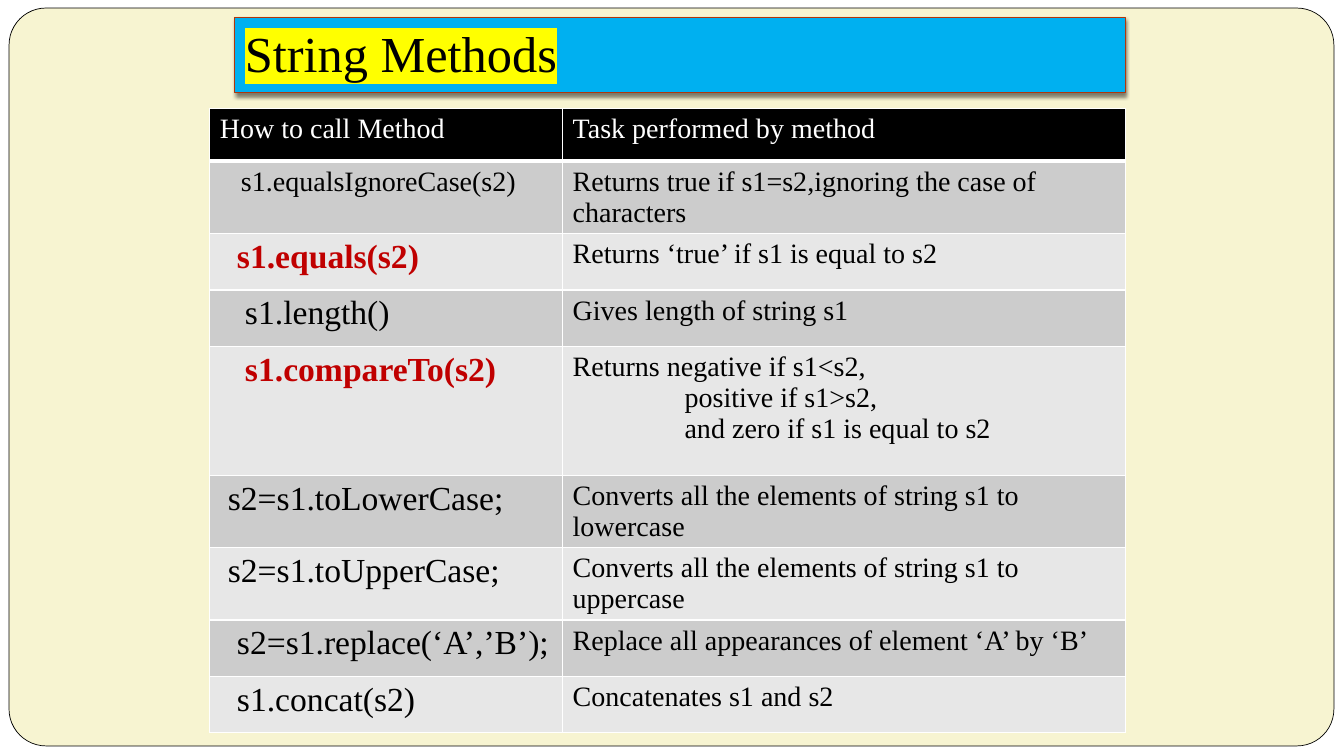
import pptx
import pptx.dml.color
import pptx.enum.shapes
import pptx.enum.text
import pptx.oxml
import pptx.oxml.ns
import pptx.util

Inches, Pt = pptx.util.Inches, pptx.util.Pt
RGBColor = pptx.dml.color.RGBColor
SHAPE = pptx.enum.shapes.MSO_SHAPE
NS = pptx.oxml.ns.nsdecls("a")

BLACK = RGBColor(0x00, 0x00, 0x00)
WHITE = RGBColor(0xFF, 0xFF, 0xFF)
CREAM = RGBColor(0xF7, 0xF4, 0xD1)
SKY = RGBColor(0x00, 0xB0, 0xF0)
RUST = RGBColor(0xB1, 0x36, 0x0B)
RED = RGBColor(0xC0, 0x00, 0x00)
YELLOW = RGBColor(0xFF, 0xFF, 0x00)
BANDS = [RGBColor(0xE7, 0xE7, 0xE7), RGBColor(0xCC, 0xCC, 0xCC)]


def add_box(kind, box, fill, line, width):
    sp = s.shapes.add_shape(kind, *[Inches(v) for v in box])
    sp.shadow.inherit = False
    sp.fill.solid()
    sp.fill.fore_color.rgb = fill
    sp.line.color.rgb = line
    sp.line.width = Pt(width)
    return sp


def write(p, text, size, color, bold=False, indent=0):
    if indent:
        p._p.get_or_add_pPr().set("marL", str(Inches(indent)))
    r = p.add_run()
    r.text = text
    font = {"size": Pt(size), "bold": bold, "name": "Times New Roman"}
    for name, value in font.items():
        setattr(r.font, name, value)
    r.font.color.rgb = color
    return r


prs = pptx.Presentation()
prs.slide_width, prs.slide_height = Inches(13.33), Inches(7.5)
s = prs.slides.add_slide(prs.slide_layouts[6])

# White page with a rounded cream panel
s.background.fill.solid()
s.background.fill.fore_color.rgb = WHITE
panel = add_box(SHAPE.ROUNDED_RECTANGLE, (0.09, 0.08, 13.14, 7.32), CREAM, BLACK, 0.5)
panel.adjustments[0] = 0.05

# Title bar with a soft shadow below it
title = add_box(SHAPE.RECTANGLE, (2.33, 0.17, 8.83, 0.75), SKY, RUST, 0.75)
title._element.spPr.find(pptx.oxml.ns.qn("a:effectLst")).append(pptx.oxml.parse_xml(
    f'<a:outerShdw {NS} blurRad="{Pt(3)}" dist="{Pt(2)}" dir="5400000" rotWithShape="0">'
    f'<a:srgbClr val="{BLACK}"><a:alpha val="50000"/></a:srgbClr></a:outerShdw>'))
tf = title.text_frame
frame = {
    "word_wrap": True,
    "vertical_anchor": pptx.enum.text.MSO_ANCHOR.BOTTOM,
    "margin_left": Inches(0.1), "margin_right": Inches(0.1),
    "margin_top": Inches(0.05), "margin_bottom": Inches(0.1),
}
for name, value in frame.items():
    setattr(tf, name, value)
p = tf.paragraphs[0]
p.alignment = pptx.enum.text.PP_ALIGN.LEFT
r = write(p, "String Methods", 36, BLACK)
r.font.fill._xPr.find(pptx.oxml.ns.qn("a:solidFill")).addnext(pptx.oxml.parse_xml(
    f'<a:highlight {NS}><a:srgbClr val="{YELLOW}"/></a:highlight>'))

# Table rows: height, call, call size, call indent, key method, task lines
rows = [
    (0.52, "How to call Method", 20, 0, False, ["Task performed by method"]),
    (0.52, "s1.equalsIgnoreCase(s2)", 20, 0.21, False,
     ["Returns true if s1=s2,ignoring the case of characters"]),
    (0.56, "s1.equals(s2)", 24, 0.17, True, ["Returns ‘true’ if s1 is equal to s2"]),
    (0.56, "s1.length()", 24, 0.25, False, ["Gives length of string s1"]),
    (1.28, "s1.compareTo(s2)", 24, 0.25, True,
     ["Returns negative if s1<s2,", "positive if s1>s2,", "and zero if s1 is equal to s2"]),
    (0.56, "s2=s1.toLowerCase;", 24, 0.08, False,
     ["Converts all the elements of string s1 to lowercase"]),
    (0.56, "s2=s1.toUpperCase;", 24, 0.08, False,
     ["Converts all the elements of string s1 to uppercase"]),
    (0.56, "s2=s1.replace(‘A’,’B’);", 24, 0.17, False,
     ["Replace all appearances of element ‘A’ by ‘B’"]),
    (0.56, "s1.concat(s2)", 24, 0.17, False, ["Concatenates s1 and s2"]),
]
table = s.shapes.add_table(len(rows), 2, Inches(2.08), Inches(1.08),
                           Inches(9.08), Inches(5.67)).table
for column, width in zip(table.columns, (3.5, 5.58)):
    column.width = Inches(width)

for i, (height, call, size, indent, key, task) in enumerate(rows):
    table.rows[i].height = Inches(height)
    color = WHITE if i == 0 else BLACK
    call_cell, task_cell = table.cell(i, 0), table.cell(i, 1)
    write(call_cell.text_frame.paragraphs[0], call, size, RED if key else color, key, indent)
    tf = task_cell.text_frame
    for n, line in enumerate(task):
        p = tf.add_paragraph() if n else tf.paragraphs[0]
        write(p, line, 20, color, indent=1.11 if n else 0)

    # White cell borders, thicker under the header, then the band fill
    for cell in (call_cell, task_cell):
        tcPr = cell._tc.get_or_add_tcPr()
        for side in "LRTB":
            heavy = (i == 0 and side == "B") or (i == 1 and side == "T")
            tcPr.append(pptx.oxml.parse_xml(
                f'<a:ln{side} {NS} w="{Pt(3 if heavy else 1)}"><a:solidFill>'
                f'<a:srgbClr val="{WHITE}"/></a:solidFill></a:ln{side}>'))
        cell.fill.solid()
        cell.fill.fore_color.rgb = BANDS[i % 2] if i else BLACK

prs.save("out.pptx")
